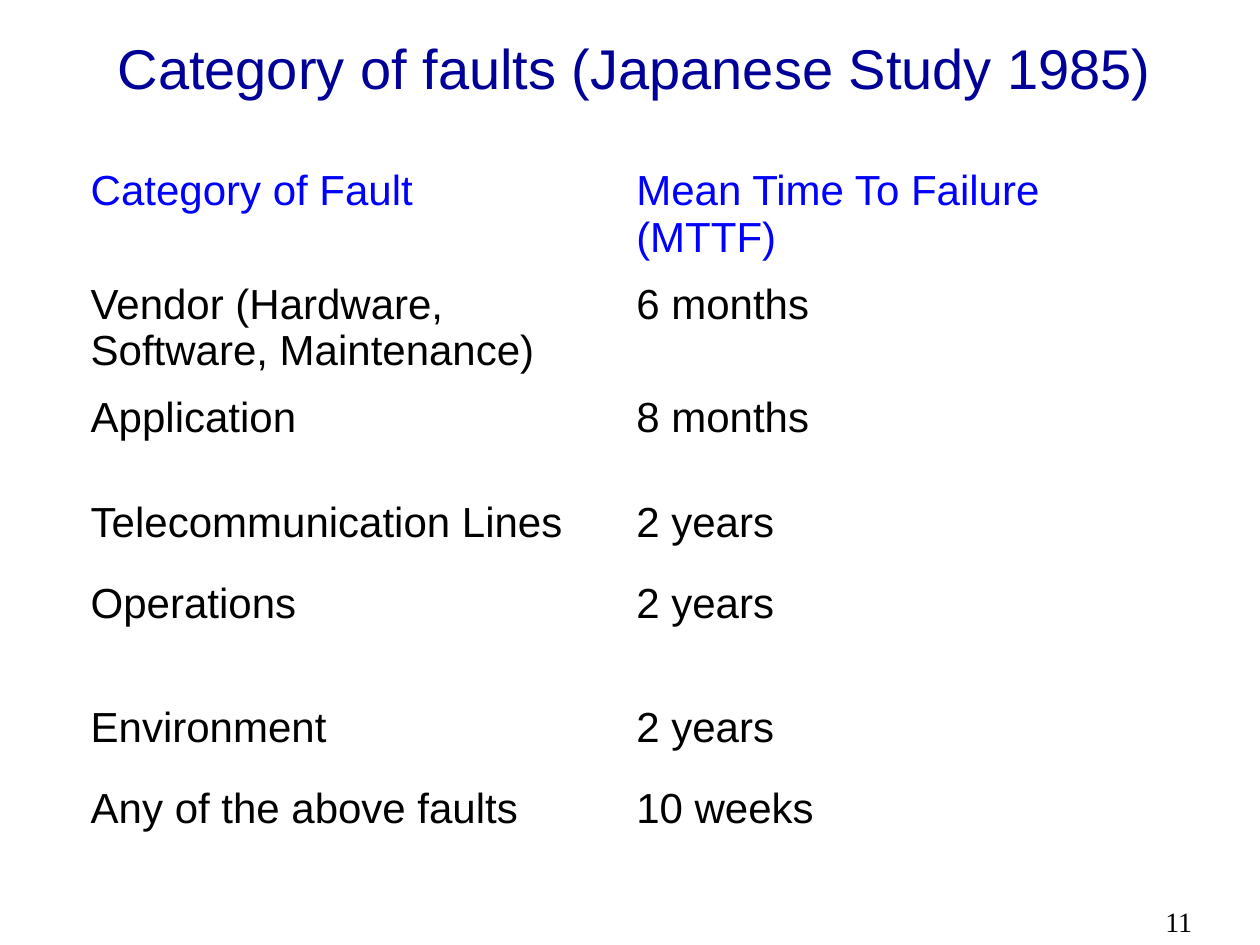
from lxml.etree import SubElement
from pptx import Presentation
from pptx.dml.color import RGBColor
from pptx.enum.text import MSO_ANCHOR as Anchor, PP_ALIGN as Align
from pptx.oxml.ns import qn
from pptx.util import Inches, Pt

WHITE, BLACK, NAVY, BLUE = "FFFFFF", "000000", "000099", "0000FF"
ROWS = [
    ("Category of Fault", "Mean Time To Failure (MTTF)"),
    ("Vendor (Hardware, Software, Maintenance)", "6 months"),
    ("Application", "8 months"),
    ("Telecommunication Lines", "2 years"),
    ("Operations", "2 years"),
    ("Environment", "2 years"),
    ("Any of the above faults", "10 weeks"),
]
COL_WIDTHS = [4.33, 4.25]
ROW_HEIGHTS = [0.9, 0.9, 0.83, 0.65, 0.98, 0.64, 0.65]


def color(value):
    """Turn a hex string into a colour."""
    return RGBColor.from_string(value)


def style(p, size, value, name="Arial"):
    """Set the font of a paragraph."""
    p.font.name, p.font.size = name, Pt(size)
    p.font.color.rgb = color(value)


def add_text(s, box, text, size, value, name="Arial", align=Align.LEFT, anchor=Anchor.TOP):
    """Place one line of text in a box."""
    tf = s.shapes.add_textbox(*map(Inches, box)).text_frame
    tf.word_wrap, tf.vertical_anchor = True, anchor
    p = tf.paragraphs[0]
    p.text, p.alignment = text, align
    style(p, size, value, name)


def add_borders(cell, outer):
    """Draw white cell borders, heavier on the outer sides of the table."""
    tc_pr = cell._tc.get_or_add_tcPr()
    for side, is_outer in zip("LRTB", outer):
        ln = SubElement(tc_pr, qn(f"a:ln{side}"), w=str(Pt(1.08 if is_outer else 0.45)))
        SubElement(SubElement(ln, qn("a:solidFill")), qn("a:srgbClr"), val=WHITE)


def add_fault_table(s, left, top):
    """Place the table of fault categories and failure times."""
    size = sum(COL_WIDTHS), sum(ROW_HEIGHTS)
    table = s.shapes.add_table(len(ROWS), len(COL_WIDTHS), *map(Inches, (left, top, *size))).table
    table.horz_banding = False
    for col, width in zip(table.columns, COL_WIDTHS):
        col.width = Inches(width)
    last_row, last_col = len(ROWS) - 1, len(COL_WIDTHS) - 1
    for i, (texts, height) in enumerate(zip(ROWS, ROW_HEIGHTS)):
        table.rows[i].height = Inches(height)
        for j, text in enumerate(texts):
            cell = table.cell(i, j)
            add_borders(cell, (j == 0, j == last_col, i == 0, i == last_row))
            cell.fill.solid()
            cell.fill.fore_color.rgb = color(WHITE)
            p = cell.text_frame.paragraphs[0]
            p.text = text
            p.font.bold = False
            style(p, 24, BLACK if i else BLUE)


def main():
    """Build the slide and save it."""
    prs = Presentation()
    prs.slide_width, prs.slide_height = Inches(10), Inches(7.5)
    s = prs.slides.add_slide(prs.slide_layouts[6])
    add_text(s, (9.15, 7.13, 0.85, 0.37), "11", 16, BLACK, "Times New Roman")
    add_text(s, (0.79, 0.19, 8.5, 0.69), "Category of faults (Japanese Study 1985)",
             32, NAVY, align=Align.CENTER, anchor=Anchor.MIDDLE)
    add_fault_table(s, 0.62, 1.28)
    prs.save("out.pptx")


if __name__ == "__main__":
    main()
